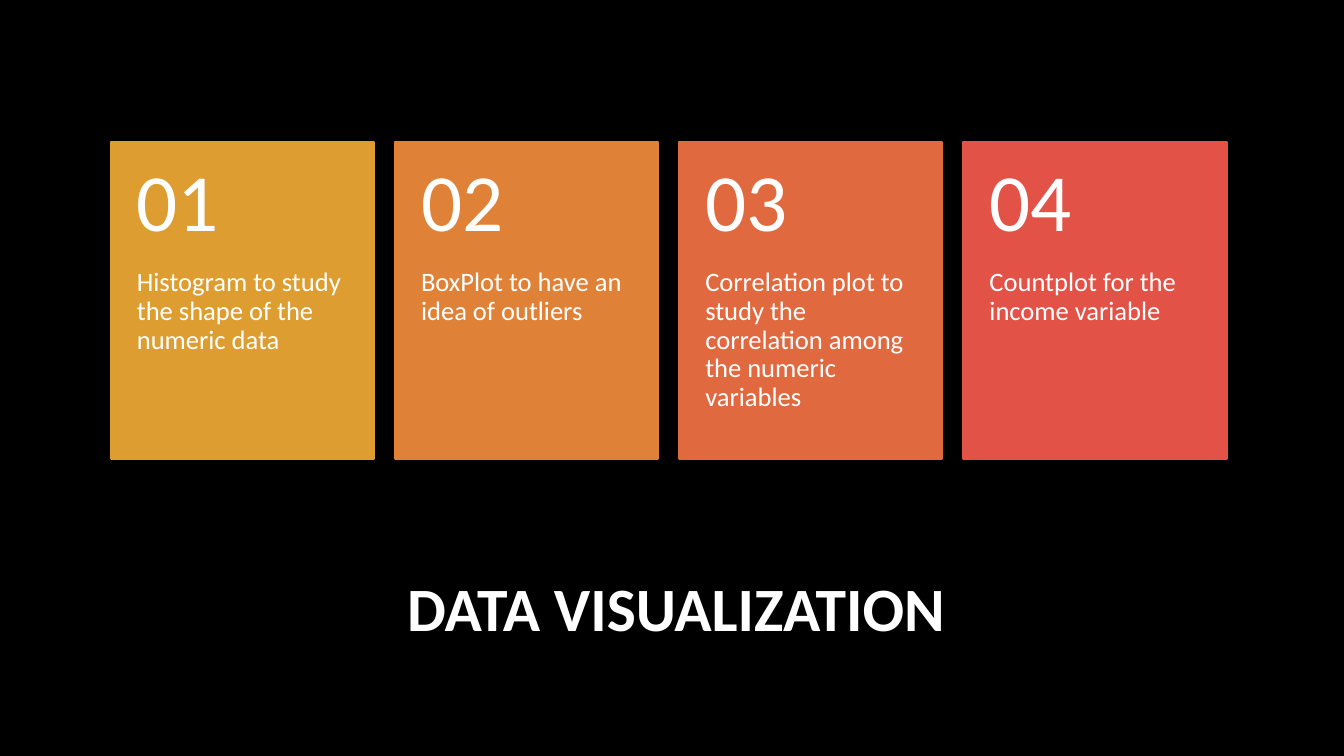
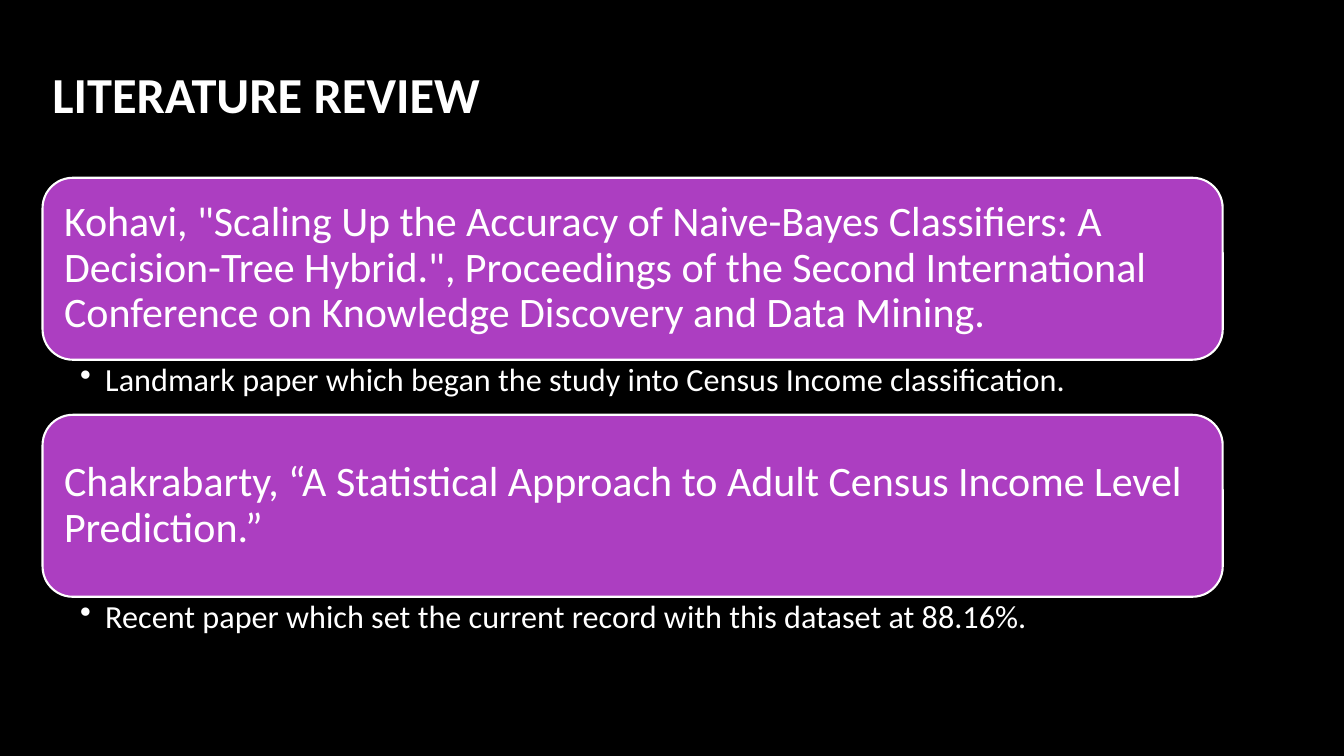
"""Build a data visualization slide and a literature review slide."""
from lxml.etree import SubElement
from pptx import Presentation
from pptx.dml.color import RGBColor
from pptx.enum.shapes import MSO_SHAPE as Preset
from pptx.enum.text import MSO_ANCHOR as Anchor, PP_ALIGN as Align
from pptx.oxml.ns import qn
from pptx.util import Pt

FONT = "Calibri"
COLORS = {
    "background": "000000", "text": "FFFFFF", "purple": "AC3EC1",
    "gold": "DD9D31", "orange": "DF8238", "coral": "E06940", "red": "E25247",
}
PLOTS = [
    ("Histogram to study the shape of the numeric data", "gold"),
    ("BoxPlot to have an idea of outliers", "orange"),
    ("Correlation plot to study the correlation among the numeric variables", "coral"),
    ("Countplot for the income variable", "red"),
]
PAPERS = [
    ('Kohavi, "Scaling Up the Accuracy of Naive-Bayes Classifiers: A Decision-Tree Hybrid.", '
     "Proceedings of the Second International Conference on Knowledge Discovery and Data Mining.",
     "Landmark paper which began the study into Census Income classification."),
    ("Chakrabarty, “A Statistical Approach to Adult Census Income Level Prediction.”",
     "Recent paper which set the current record with this dataset at 88.16%."),
]

CARD_LEFT, CARD_TOP, CARD_WIDTH, CARD_GAP = 79.2, 101.5, 188, 15
NUMBER_HEIGHT, DESCRIPTION_HEIGHT = 90.4, 135.6
PAPER_LEFT, PAPER_TOP, PAPER_WIDTH = 30.4, 127, 843
PAPER_HEIGHT, NOTE_HEIGHT = 130, 39.3
BULLET_INDENT = 18


def color(name):
    return RGBColor.from_string(COLORS[name])


def write(shape, text, size, insets=(7.2, 3.6, 7.2, 3.6), anchor=Anchor.TOP,
          align=Align.LEFT, bold=False, spacing=0.9):
    frame = shape.text_frame
    frame.word_wrap = True
    frame.vertical_anchor = anchor
    (frame.margin_left, frame.margin_top,
     frame.margin_right, frame.margin_bottom) = map(Pt, insets)
    paragraph = frame.paragraphs[0]
    paragraph.alignment = align
    paragraph.line_spacing = spacing
    run = paragraph.add_run()
    run.text = text
    run.font.name = FONT
    run.font.size = Pt(size)
    run.font.bold = bold
    run.font.color.rgb = color("text")
    return paragraph


def add_text(slide, box, text, size, **style):
    return write(slide.shapes.add_textbox(*map(Pt, box)), text, size, **style)


def add_title(slide, box, text, size, align=Align.LEFT):
    add_text(slide, box, text, size, anchor=Anchor.MIDDLE, align=align, bold=True, spacing=1.0)


def add_panel(slide, preset, box, fill, line):
    shape = slide.shapes.add_shape(preset, *map(Pt, box))
    shape.shadow.inherit = False
    shape.fill.solid()
    shape.fill.fore_color.rgb = color(fill)
    shape.line.color.rgb = color(line)
    shape.line.width = Pt(1.5)
    return shape


def add_bullet(paragraph):
    properties = paragraph._p.get_or_add_pPr()
    properties.set("marL", str(Pt(BULLET_INDENT)))
    properties.set("indent", str(-Pt(BULLET_INDENT)))
    SubElement(properties, qn("a:buChar")).set("char", "•")


def build_visualization(slide):
    add_title(slide, (84.2, 406.5, 797.8, 54), "DATA VISUALIZATION", 44, Align.CENTER)
    for index, (description, fill) in enumerate(PLOTS):
        left = CARD_LEFT + index * (CARD_WIDTH + CARD_GAP)
        add_panel(slide, Preset.RECTANGLE,
                  (left, CARD_TOP, CARD_WIDTH, NUMBER_HEIGHT + DESCRIPTION_HEIGHT), fill, fill)
        add_text(slide, (left, CARD_TOP + NUMBER_HEIGHT, CARD_WIDTH, DESCRIPTION_HEIGHT),
                 description, 19, insets=(18.6, 0, 18.6, 26))
        add_text(slide, (left, CARD_TOP, CARD_WIDTH, NUMBER_HEIGHT), f"{index + 1:02}", 58,
                 insets=(18.6, 13, 18.6, 13), anchor=Anchor.MIDDLE)


def build_review(slide):
    add_title(slide, (30.4, 21.6, 831, 90), "LITERATURE REVIEW", 36)
    for index, (citation, note) in enumerate(PAPERS):
        top = PAPER_TOP + index * (PAPER_HEIGHT + NOTE_HEIGHT)
        panel = add_panel(slide, Preset.ROUNDED_RECTANGLE,
                          (PAPER_LEFT, top, PAPER_WIDTH, PAPER_HEIGHT), "purple", "text")
        write(panel, citation, 30, insets=(9, 9, 9, 9), anchor=Anchor.MIDDLE)
        add_bullet(add_text(slide, (PAPER_LEFT, top + PAPER_HEIGHT, PAPER_WIDTH, NOTE_HEIGHT),
                            note, 23, insets=(26.8, 2.9, 16.4, 2.9)))


def main():
    presentation = Presentation()
    presentation.slide_width, presentation.slide_height = Pt(960), Pt(540)
    background = presentation.slide_master.background.fill
    background.solid()
    background.fore_color.rgb = color("background")
    for build in (build_visualization, build_review):
        build(presentation.slides.add_slide(presentation.slide_layouts[6]))
    presentation.save("out.pptx")


if __name__ == "__main__":
    main()
